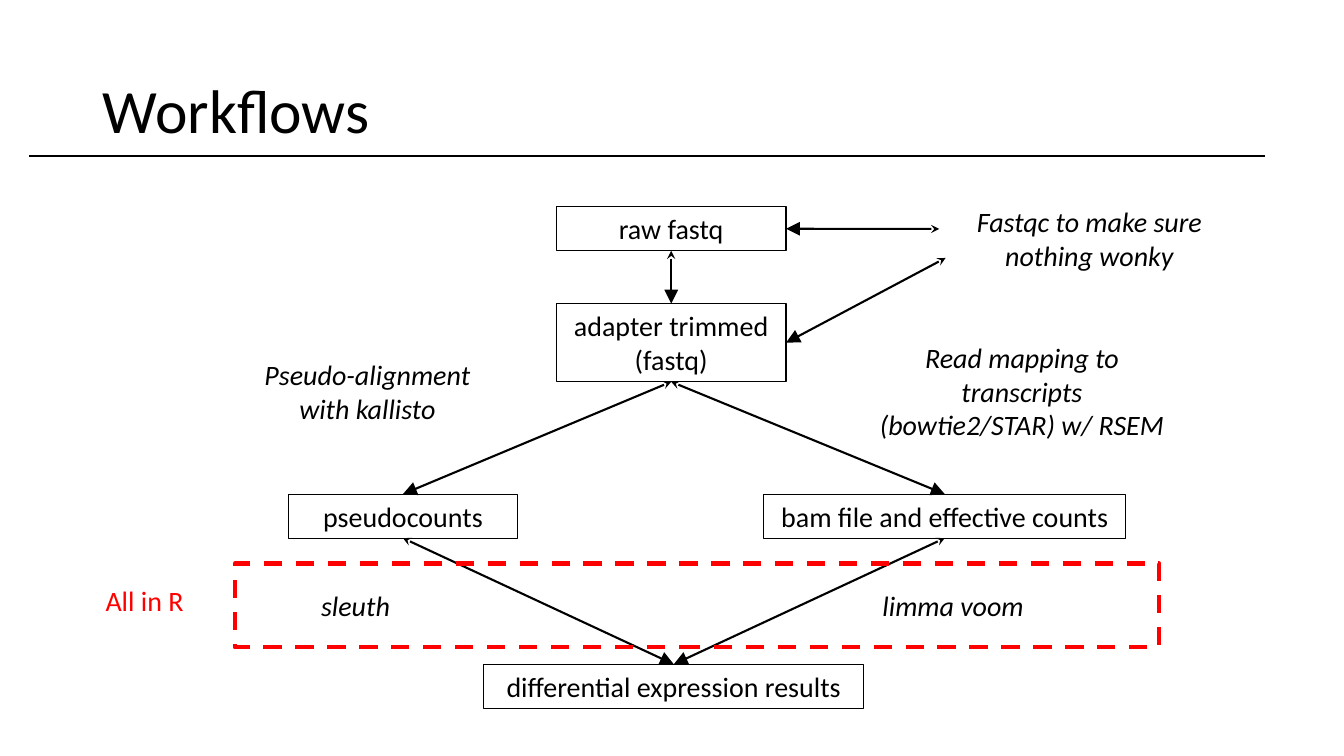
"""Build the sequencing workflow slide."""
from dataclasses import dataclass

from lxml.etree import SubElement
from pptx import Presentation
from pptx.dml.color import RGBColor
from pptx.enum.dml import MSO_LINE
from pptx.enum.shapes import MSO_CONNECTOR, MSO_SHAPE
from pptx.enum.text import MSO_ANCHOR, MSO_AUTO_SIZE as AutoSize, PP_ALIGN
from pptx.oxml.ns import qn
from pptx.util import Cm, Pt


@dataclass(frozen=True)
class Theme:
    font: str = "Calibri"
    ink: RGBColor = RGBColor(0, 0, 0)
    accent: RGBColor = RGBColor(255, 0, 0)
    title_size: float = 44
    text_size: float = 20
    box_line: float = 0.75
    arrow_line: float = 1.5
    frame_line: float = 3.25


THEME = Theme()
TOP, BOTTOM, RIGHT = 0, 2, 3
ROW = 1.11
BOX_WIDTH = 5.79
CENTER_LEFT = 14.02
COUNTS_TOP = 12.45
NOTE_WIDTH = 5.72
TOOLS_TOP = 14.71

TITLE = ("Workflows", (2.34, 1.02, 29.21, 3.68))
TITLE_RULE = ((0.74, 3.94), (31.88, 3.94))
STEPS = {
    "raw": ("raw fastq", (CENTER_LEFT, 5.21, BOX_WIDTH, ROW)),
    "trimmed": ("adapter trimmed (fastq)", (CENTER_LEFT, 7.65, BOX_WIDTH, 1.97)),
    "pseudo": ("pseudocounts", (7.26, COUNTS_TOP, BOX_WIDTH, ROW)),
    "bam": ("bam file and effective counts", (19.25, COUNTS_TOP, 9.12, ROW)),
    "results": ("differential expression results", (12.19, 16.74, 9.58, ROW)),
}
FLOWS = [
    ("raw", "trimmed"),
    ("trimmed", "pseudo"),
    ("trimmed", "bam"),
    ("pseudo", "results"),
    ("bam", "results"),
]
CHECKS = [((23.67, 5.77), "raw"), ((23.83, 6.5), "trimmed")]
NOTES = [
    ("Fastqc to make sure nothing wonky", (24.0, 5.03, 6.91, 1.97)),
    ("Pseudo-alignment with kallisto", (6.4, 8.89, NOTE_WIDTH, 1.97)),
    ("Read mapping to transcripts (bowtie2/STAR) w/ RSEM", (21.87, 8.46, 7.77, 2.82)),
    ("sleuth", (6.1, TOOLS_TOP, NOTE_WIDTH, ROW)),
    ("limma voom", (21.16, TOOLS_TOP, NOTE_WIDTH, ROW)),
]
R_FRAME = (5.92, 14.2, 23.29, 2.11)
R_LABEL = ("All in R", (1.93, 14.58, 3.43, ROW))


def lengths(values):
    """Turn centimetre values into slide lengths."""
    return [Cm(value) for value in values]


def format_text(shape, text, size, color, align, italic=False):
    """Write one paragraph and format its run."""
    shape.text_frame.text = text
    paragraph = shape.text_frame.paragraphs[0]
    paragraph.alignment = align
    font = paragraph.runs[0].font
    font.name, font.size, font.italic = THEME.font, Pt(size), italic
    font.color.rgb = color
    return paragraph


def add_label(shape, text, color=THEME.ink, italic=False):
    """Give a shape centred, wrapping text."""
    format_text(shape, text, THEME.text_size, color, PP_ALIGN.CENTER, italic)
    frame = shape.text_frame
    frame.word_wrap = True
    frame.auto_size = AutoSize.SHAPE_TO_FIT_TEXT
    frame.vertical_anchor = MSO_ANCHOR.TOP


def add_outline(slide, place, color, width):
    """Add an unfilled rectangle."""
    shape = slide.shapes.add_shape(MSO_SHAPE.RECTANGLE, *lengths(place))
    shape.shadow.inherit = False
    shape.fill.background()
    shape.line.color.rgb = color
    shape.line.width = Pt(width)
    return shape


def add_line(slide, start=(0, 0), end=(0, 0)):
    """Add a plain black line without a shadow."""
    line = slide.shapes.add_connector(
        MSO_CONNECTOR.STRAIGHT, *lengths(start), *lengths(end))
    line.line.color.rgb = THEME.ink
    line.line.width = Pt(THEME.arrow_line)
    SubElement(line._element.spPr, qn("a:effectLst"))
    return line


def add_arrowheads(connector):
    """Put a stealth head at the start and a large triangle at the end."""
    outline = connector.line._get_or_add_ln()
    SubElement(outline, qn("a:headEnd"), type="stealth")
    SubElement(outline, qn("a:tailEnd"), type="triangle", w="lg", len="lg")


def main():
    """Compose and save the slide."""
    presentation = Presentation()
    presentation.slide_width, presentation.slide_height = lengths((33.87, 19.05))
    slide = presentation.slides.add_slide(presentation.slide_layouts[5])

    text, place = TITLE
    title = slide.shapes.title
    title.left, title.top, title.width, title.height = lengths(place)
    title.text_frame.vertical_anchor = MSO_ANCHOR.MIDDLE
    paragraph = format_text(title, text, THEME.title_size, THEME.ink, PP_ALIGN.LEFT)
    paragraph.line_spacing = 0.9
    add_line(slide, *TITLE_RULE)

    boxes = {}
    for name, (text, place) in STEPS.items():
        boxes[name] = add_outline(slide, place, THEME.ink, THEME.box_line)
        add_label(boxes[name], text)

    for source, target in FLOWS:
        arrow = add_line(slide)
        arrow.begin_connect(boxes[source], BOTTOM)
        arrow.end_connect(boxes[target], TOP)
        add_arrowheads(arrow)
    for start, target in CHECKS:
        arrow = add_line(slide, start, start)
        arrow.end_connect(boxes[target], RIGHT)
        add_arrowheads(arrow)

    for text, place in NOTES:
        add_label(slide.shapes.add_textbox(*lengths(place)), text, italic=True)

    frame = add_outline(slide, R_FRAME, THEME.accent, THEME.frame_line)
    frame.line.dash_style = MSO_LINE.DASH
    text, place = R_LABEL
    add_label(slide.shapes.add_textbox(*lengths(place)), text, THEME.accent)

    presentation.save("out.pptx")


if __name__ == "__main__":
    main()
